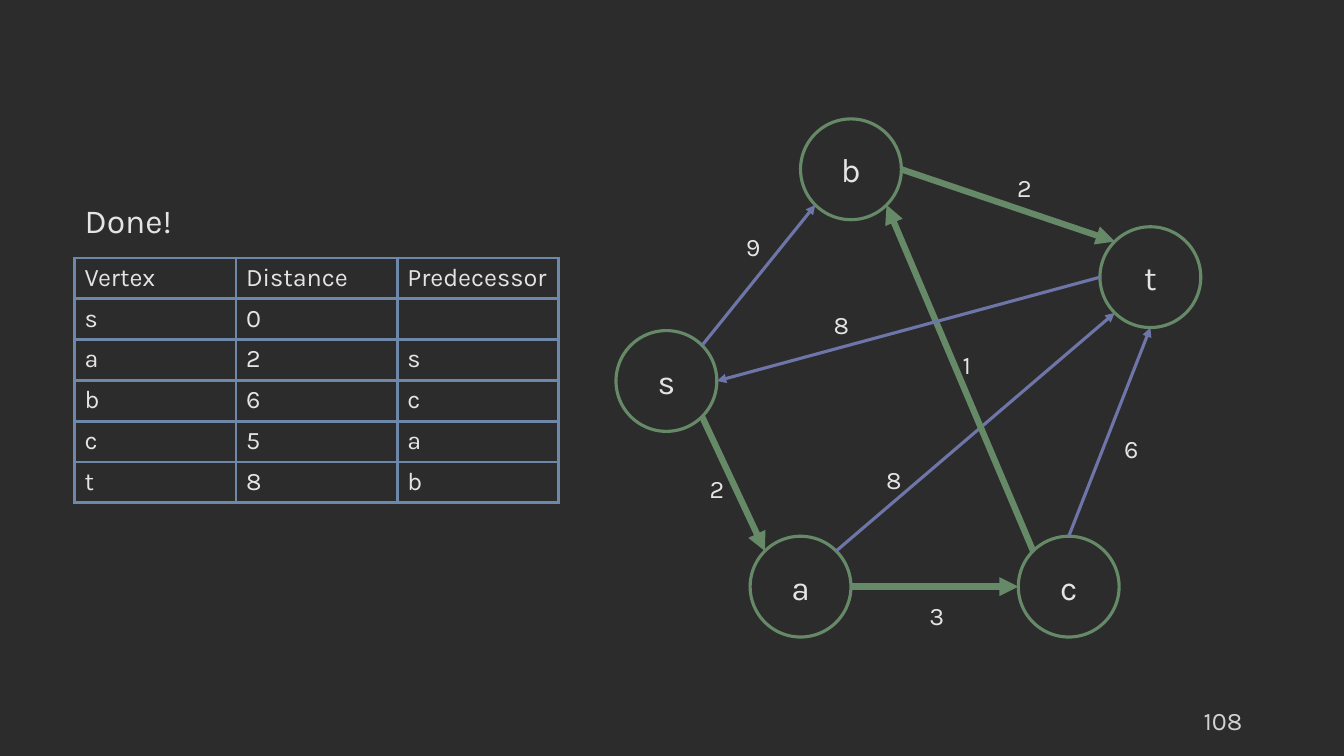
from math import cos, radians, sin

from lxml.etree import SubElement
from pptx import Presentation
from pptx.dml.color import RGBColor
from pptx.enum.shapes import MSO_CONNECTOR, MSO_SHAPE
from pptx.enum.text import MSO_ANCHOR, MSO_AUTO_SIZE, PP_ALIGN
from pptx.oxml.ns import qn
from pptx.util import Inches, Pt

COLORS = {
    "background": "2C2C2C",
    "text": "E4E4E4",
    "number": "D1D1D1",
    "path": "668A68",
    "edge": "6E75A8",
    "border": "6D88A8",
}
FONT = "Karla"
RADIUS = 0.5


def rgb(name):
    return RGBColor.from_string(COLORS[name])


class GraphSlide:
    """Dark slide with methods for its text, table and graph parts."""

    def __init__(self, presentation):
        self.slide = presentation.slides.add_slide(presentation.slide_layouts[5])
        self.shapes = self.slide.shapes
        fill = self.slide.background.fill
        fill.solid()
        fill.fore_color.rgb = rgb("background")

    def set_text(self, frame, text, size, color="text", align=PP_ALIGN.LEFT):
        frame.text = text
        paragraph = frame.paragraphs[0]
        paragraph.alignment = align
        for run in paragraph.runs:
            run.font.name = FONT
            run.font.size = Pt(size)
            run.font.color.rgb = rgb(color)

    def title(self, text, left, top, width, height):
        heading = self.shapes.title
        heading.left, heading.top = Inches(left), Inches(top)
        heading.width, heading.height = Inches(width), Inches(height)
        frame = heading.text_frame
        self.set_text(frame, text, 24)
        frame.auto_size = MSO_AUTO_SIZE.NONE
        frame.word_wrap = False
        frame.vertical_anchor = MSO_ANCHOR.TOP

    def label(self, text, left, top, width=0.34, height=0.4, **style):
        box = self.shapes.add_textbox(
            Inches(left), Inches(top), Inches(width), Inches(height))
        box.text_frame.word_wrap = False
        self.set_text(box.text_frame, text, 18, **style)
        return box

    def vertex(self, name, x, y):
        circle = self.shapes.add_shape(
            MSO_SHAPE.OVAL, Inches(x - RADIUS), Inches(y - RADIUS),
            Inches(2 * RADIUS), Inches(2 * RADIUS))
        circle.shadow.inherit = False
        circle.fill.background()
        circle.line.color.rgb = rgb("path")
        circle.line.width = Pt(2.25)
        circle.text_frame.vertical_anchor = MSO_ANCHOR.MIDDLE
        self.set_text(circle.text_frame, name, 24, align=PP_ALIGN.CENTER)

    def arrow(self, start, end, on_path):
        points = [Inches(value) for value in (*start, *end)]
        edge = self.shapes.add_connector(MSO_CONNECTOR.STRAIGHT, *points)
        edge.line.color.rgb = rgb("path" if on_path else "edge")
        edge.line.width = Pt(4.5 if on_path else 2.25)
        properties = edge._element.spPr
        SubElement(properties.find(qn("a:ln")), qn("a:tailEnd"), type="triangle")
        SubElement(properties, qn("a:effectLst"))

    def border(self, cell):
        properties = cell._tc.get_or_add_tcPr()
        for side in ("L", "R", "T", "B"):
            line = SubElement(properties, qn(f"a:ln{side}"), w=str(Pt(2.25)))
            solid = SubElement(line, qn("a:solidFill"))
            SubElement(solid, qn("a:srgbClr"), val=COLORS["border"])

    def table(self, rows, left, top, width, height):
        grid = self.shapes.add_table(
            len(rows), len(rows[0]), Inches(left), Inches(top),
            Inches(width), Inches(height)).table
        grid.first_row = grid.horz_banding = False
        for r, row in enumerate(rows):
            for c, text in enumerate(row):
                cell = grid.cell(r, c)
                self.border(cell)
                cell.fill.background()
                self.set_text(cell.text_frame, text, 18)


# Vertex centres
VERTICES = {
    "s": (6.61, 3.78),
    "a": (7.94, 5.82),
    "t": (11.41, 2.75),
    "b": (8.44, 1.68),
    "c": (10.6, 5.82),
}

# From, angle, to, angle, on shortest path, weight, weight position
# (angles run clockwise from the right)
EDGES = [
    ("s", 45, "a", 225, True, "2", (6.94, 4.65)),
    ("a", 315, "t", 135, False, "8", (8.69, 4.56)),
    ("s", 315, "b", 135, False, "9", (7.3, 2.25)),
    ("b", 0, "t", 225, True, "2", (9.99, 1.66)),
    ("c", 270, "t", 90, False, "6", (11.05, 4.25)),
    ("c", 225, "b", 45, True, "1", (9.45, 3.42)),
    ("a", 0, "c", 180, True, "3", (9.12, 5.91)),
    ("t", 180, "s", 0, False, "8", (8.17, 3.02)),
]

DISTANCES = [
    ("Vertex", "Distance", "Predecessor"),
    ("s", "0", ""),
    ("a", "2", "s"),
    ("b", "6", "c"),
    ("c", "5", "a"),
    ("t", "8", "b"),
]


def rim(name, angle):
    """Point on a vertex circle at the given angle."""
    x, y = VERTICES[name]
    turn = radians(angle)
    return x + RADIUS * cos(turn), y + RADIUS * sin(turn)


def main():
    presentation = Presentation()
    presentation.slide_width = Inches(13.33)
    presentation.slide_height = Inches(7.5)
    page = GraphSlide(presentation)

    # Slide number
    number = page.label("108", 9.42, 6.95, 3, color="number", align=PP_ALIGN.RIGHT)
    number.text_frame.word_wrap = True
    number.text_frame.vertical_anchor = MSO_ANCHOR.MIDDLE

    # Graph
    for name, centre in VERTICES.items():
        page.vertex(name, *centre)
    for source, leave, target, arrive, on_path, weight, place in EDGES:
        page.arrow(rim(source, leave), rim(target, arrive), on_path)
        page.label(weight, *place)

    # Result table
    page.title("Done!", 0.74, 1.93, 1.08, 0.5)
    page.table(DISTANCES, 0.74, 2.56, 4.8, 2.43)

    presentation.save("out.pptx")


if __name__ == "__main__":
    main()
